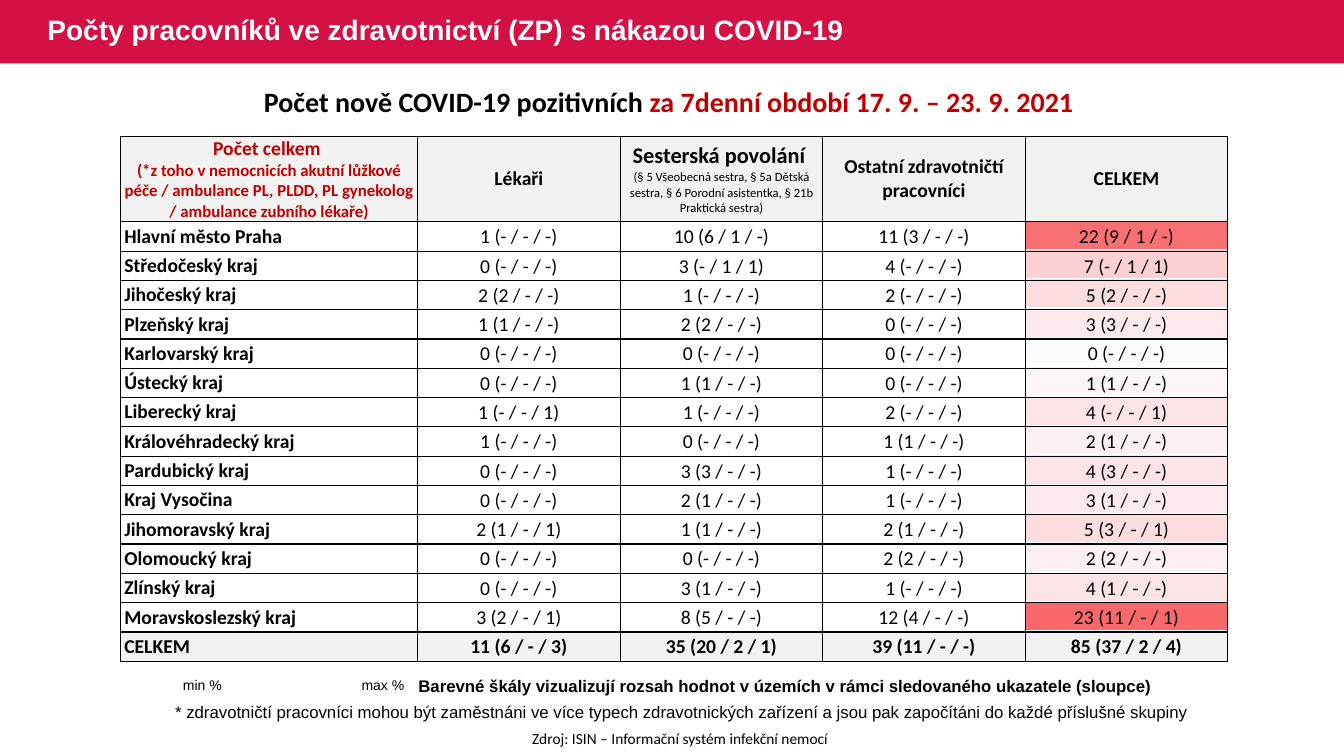
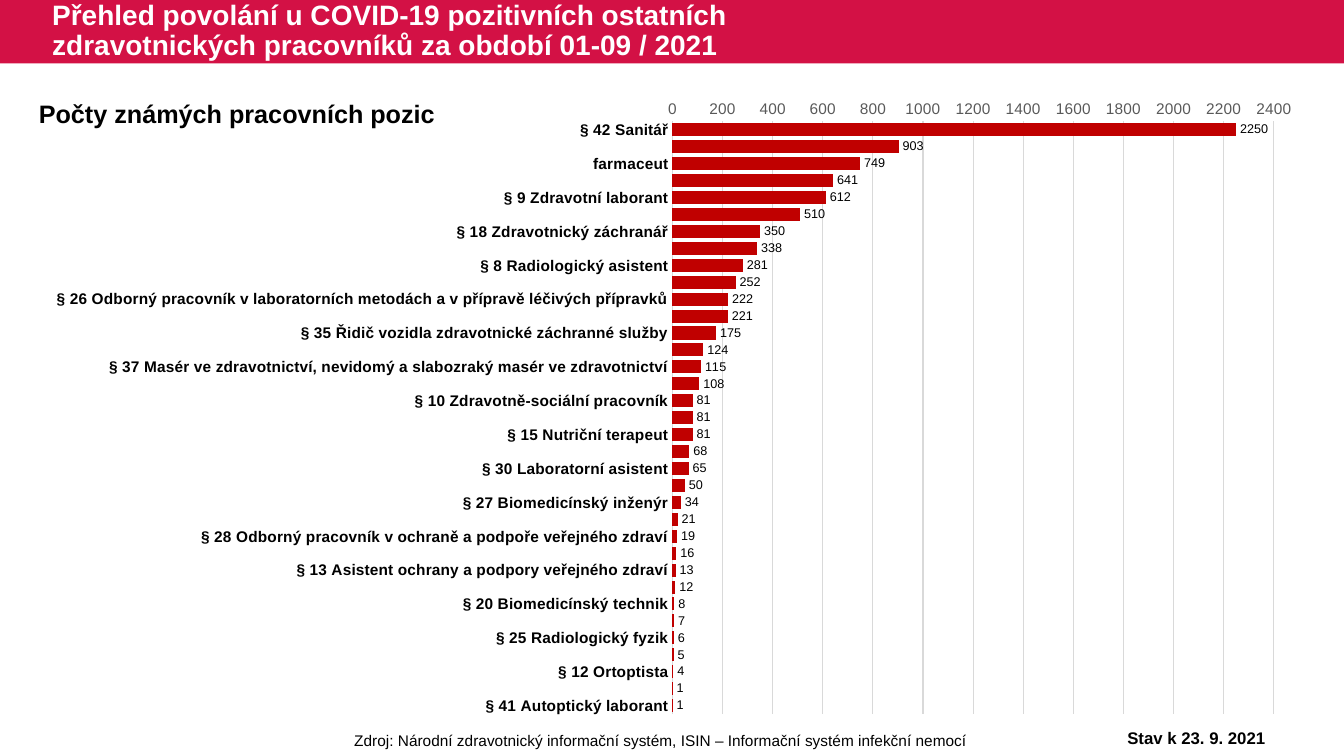
from lxml import etree
from pptx import Presentation
from pptx.chart.data import CategoryChartData
from pptx.dml.color import RGBColor
from pptx.enum.chart import XL_CHART_TYPE, XL_LABEL_POSITION, XL_TICK_MARK
from pptx.enum.shapes import MSO_SHAPE
from pptx.enum.text import MSO_ANCHOR, PP_ALIGN
from pptx.oxml import parse_xml
from pptx.oxml.ns import nsdecls, qn
from pptx.util import Pt

LEFT, CENTER, RIGHT = PP_ALIGN.LEFT, PP_ALIGN.CENTER, PP_ALIGN.RIGHT
TOP, MIDDLE = MSO_ANCHOR.TOP, MSO_ANCHOR.MIDDLE
NO_TICKS = XL_TICK_MARK.NONE

CRIMSON = RGBColor(0xD3, 0x11, 0x45)
RED = RGBColor(0xC0, 0x00, 0x00)
BLACK = RGBColor(0x00, 0x00, 0x00)
WHITE = RGBColor(0xFF, 0xFF, 0xFF)
PALE_GREY = RGBColor(0xF2, 0xF2, 0xF2)
GRID_GREY = RGBColor(0xD9, 0xD9, 0xD9)
AXIS_GREY = RGBColor(0x59, 0x59, 0x59)
SCALE_LOW = RGBColor(0xFC, 0xFC, 0xFF)
SCALE_HIGH = RGBColor(0xF8, 0x69, 0x6B)

SLIDE_W, SLIDE_H = 960, 540
BAND_H = 45.3
NO_INSETS = (0, 0, 0, 0)
BOX_INSETS = (7.2, 3.6, 7.2, 3.6)
LABEL_INSETS = (2.6, 0, 2.6, 0)
VALUE_INSETS = (0.7, 0.7, 0.7, 0)

# Regional table: each header line is (text, size, bold, colour)
HEADERS = [
    [("Počet celkem ", 14, True, RED),
     ("(*z toho v nemocnicích akutní lůžkové péče / ambulance PL, PLDD, "
      "PL gynekolog / ambulance zubního lékaře)", 12, True, RED)],
    [("Lékaři", 14, True, BLACK)],
    [("Sesterská povolání ", 16, True, BLACK),
     ("(§ 5 Všeobecná sestra, § 5a Dětská sestra, § 6 Porodní asistentka, "
      "§ 21b Praktická sestra)", 9, False, BLACK)],
    [("Ostatní zdravotničtí pracovníci", 14, True, BLACK)],
    [("CELKEM", 14, True, BLACK)],
]
REGIONS = [
    ("Hlavní město Praha", "1 (- / - / -)", "10 (6 / 1 / -)", "11 (3 / - / -)", "22 (9 / 1 / -)"),
    ("Středočeský kraj", "0 (- / - / -)", "3 (- / 1 / 1)", "4 (- / - / -)", "7 (- / 1 / 1)"),
    ("Jihočeský kraj", "2 (2 / - / -)", "1 (- / - / -)", "2 (- / - / -)", "5 (2 / - / -)"),
    ("Plzeňský kraj", "1 (1 / - / -)", "2 (2 / - / -)", "0 (- / - / -)", "3 (3 / - / -)"),
    ("Karlovarský kraj", "0 (- / - / -)", "0 (- / - / -)", "0 (- / - / -)", "0 (- / - / -)"),
    ("Ústecký kraj", "0 (- / - / -)", "1 (1 / - / -)", "0 (- / - / -)", "1 (1 / - / -)"),
    ("Liberecký kraj", "1 (- / - / 1)", "1 (- / - / -)", "2 (- / - / -)", "4 (- / - / 1)"),
    ("Královéhradecký kraj", "1 (- / - / -)", "0 (- / - / -)", "1 (1 / - / -)", "2 (1 / - / -)"),
    ("Pardubický kraj", "0 (- / - / -)", "3 (3 / - / -)", "1 (- / - / -)", "4 (3 / - / -)"),
    ("Kraj Vysočina", "0 (- / - / -)", "2 (1 / - / -)", "1 (- / - / -)", "3 (1 / - / -)"),
    ("Jihomoravský kraj", "2 (1 / - / 1)", "1 (1 / - / -)", "2 (1 / - / -)", "5 (3 / - / 1)"),
    ("Olomoucký kraj", "0 (- / - / -)", "0 (- / - / -)", "2 (2 / - / -)", "2 (2 / - / -)"),
    ("Zlínský kraj", "0 (- / - / -)", "3 (1 / - / -)", "1 (- / - / -)", "4 (1 / - / -)"),
    ("Moravskoslezský kraj", "3 (2 / - / 1)", "8 (5 / - / -)", "12 (4 / - / -)", "23 (11 / - / 1)"),
]
TOTALS = ("CELKEM", "11 (6 / - / 3)", "35 (20 / 2 / 1)", "39 (11 / - / -)", "85 (37 / 2 / 4)")

# Known job positions and their counts
POSITIONS = [
    ("§ 42 Sanitář", 2250),
    ("§ 24 Fyzioterapeut", 903),
    ("farmaceut", 749),
    ("§ 19 Farmaceutický asistent", 641),
    ("§ 9 Zdravotní laborant", 612),
    ("§ 36 Ošetřovatel", 510),
    ("§ 18 Zdravotnický záchranář", 350),
    ("§ 39 Zubní instrumentářka", 338),
    ("§ 8 Radiologický asistent", 281),
    ("§ 16 Zubní technik", 252),
    ("§ 26 Odborný pracovník v laboratorních metodách a v přípravě léčivých přípravků", 222),
    ("§ 40 Řidič zdravotnické dopravní služby", 221),
    ("§ 35 Řidič vozidla zdravotnické záchranné služby", 175),
    ("§ 17 Dentální hygienistka", 124),
    ("§ 37 Masér ve zdravotnictví, nevidomý a slabozraký masér ve zdravotnictví", 115),
    ("§ 22 Psycholog ve zdravotnictví", 108),
    ("§ 10 Zdravotně-sociální pracovník", 81),
    ("§ 11 Optometrista", 81),
    ("§ 15 Nutriční terapeut", 81),
    ("§ 7 Ergoterapeut", 68),
    ("§ 30 Laboratorní asistent", 65),
    ("§ 23 Logoped ve zdravotnictví", 50),
    ("§ 27 Biomedicínský inženýr", 34),
    ("§ 33 Asistent zubního technika", 21),
    ("§ 28 Odborný pracovník v ochraně a podpoře veřejného zdraví", 19),
    ("§ 21a Adiktolog", 16),
    ("§ 13 Asistent ochrany a podpory veřejného zdraví", 13),
    ("§ 14 Ortotik-protetik", 12),
    ("§ 20 Biomedicínský technik", 8),
    ("§ 31 Ortoticko-protetický technik", 7),
    ("§ 25 Radiologický fyzik", 6),
    ("§ 32 Nutriční asistent", 5),
    ("§ 12 Ortoptista", 4),
    ("§ 21 Radiologický technik", 1),
    ("§ 41 Autoptický laborant", 1),
]


def set_font(font, size, bold=False, color=BLACK, name="Arial"):
    font.name, font.size, font.bold = name, Pt(size), bold
    font.color.rgb = color


def set_insets(target, insets):
    (target.margin_left, target.margin_top,
     target.margin_right, target.margin_bottom) = map(Pt, insets)


def add_text(page, text, frame, size, bold=False, color=BLACK, name="Arial",
             align=LEFT, anchor=TOP, insets=BOX_INSETS, wrap=True):
    """Add a one-paragraph text box and return its paragraph."""
    box = page.shapes.add_textbox(*map(Pt, frame)).text_frame
    box.word_wrap, box.vertical_anchor = wrap, anchor
    set_insets(box, insets)
    para = box.paragraphs[0]
    para.alignment = align
    para.add_run().text = text
    set_font(para.font, size, bold, color, name)
    return para


def add_page(deck, title, left, width):
    """Add a slide with the crimson band and its title."""
    page = deck.slides.add_slide(deck.slide_layouts[6])
    band = page.shapes.add_shape(MSO_SHAPE.RECTANGLE, 0, 0, Pt(SLIDE_W), Pt(BAND_H))
    band.shadow.inherit = False
    band.fill.solid()
    band.fill.fore_color.rgb = CRIMSON
    band.line.fill.background()
    para = add_text(page, title, (left, 0, width, BAND_H), 20, True, WHITE, anchor=MIDDLE)
    para.line_spacing = 0.9
    return page


def add_plain_table(page, left, top, widths, heights):
    table = page.shapes.add_table(
        len(heights), len(widths), Pt(left), Pt(top),
        Pt(sum(widths)), Pt(sum(heights))).table
    table.first_row = table.horz_banding = False
    for column, width in zip(table.columns, widths):
        column.width = Pt(width)
    for row, height in zip(table.rows, heights):
        row.height = Pt(height)
    return table


def paint_cell(cell, fill):
    if fill is None:
        cell.fill.background()
    else:
        cell.fill.solid()
        cell.fill.fore_color.rgb = fill


def fill_cell(cell, lines, align, insets, fill=None):
    """Write styled lines into a cell with black borders and an optional fill."""
    properties = cell._tc.get_or_add_tcPr()
    for side in ("lnL", "lnR", "lnT", "lnB"):
        properties.append(parse_xml(
            f'<a:{side} {nsdecls("a")} w="12700"><a:solidFill>'
            f'<a:srgbClr val="{BLACK}"/></a:solidFill></a:{side}>'))
    paint_cell(cell, fill)
    cell.vertical_anchor = MIDDLE
    set_insets(cell, insets)
    for index, (text, size, bold, color) in enumerate(lines):
        frame = cell.text_frame
        para = frame.add_paragraph() if index else frame.paragraphs[0]
        para.alignment = align
        para.add_run().text = text
        set_font(para.font, size, bold, color, "Calibri")


def scale_color(value, highest):
    return RGBColor(*(low - (low - high) * value // highest
                      for low, high in zip(SCALE_LOW, SCALE_HIGH)))


def add_color_scale(page):
    """Add the one-column table that shades the totals of the regions."""
    counts = [int(region[-1].split()[0]) for region in REGIONS]
    fills = [scale_color(count, max(counts)) for count in counts] + [None]
    table = add_plain_table(page, 731.7, 157, [145.2], [21] * len(fills))
    for row, fill in enumerate(fills):
        cell = table.cell(row, 0)
        paint_cell(cell, fill)
        set_insets(cell, NO_INSETS)
        para = cell.text_frame.paragraphs[0]
        etree.SubElement(para._p, qn("a:endParaRPr")).set("sz", "1400")


def add_region_table(page):
    table = add_plain_table(page, 86.2, 97.4, [212.1] + [144.7] * 4,
                            [61.1] + [20.93] * (len(REGIONS) + 1))
    for column, lines in enumerate(HEADERS):
        fill_cell(table.cell(0, column), lines, CENTER, LABEL_INSETS, PALE_GREY)
    for row, texts in enumerate(REGIONS + [TOTALS], start=1):
        is_total = texts is TOTALS
        for column, text in enumerate(texts):
            is_label = column == 0
            fill_cell(table.cell(row, column),
                      [(text, 14, is_label or is_total, BLACK)],
                      LEFT if is_label else CENTER,
                      LABEL_INSETS if is_label else VALUE_INSETS,
                      PALE_GREY if is_total else None)


def set_plot_layout(chart, x, y, w, h):
    """Fix the inner plot area as fractions of the chart."""
    plot_area = chart._chartSpace.chart.plotArea
    for old in plot_area.findall(qn("c:layout")):
        plot_area.remove(old)
    layout = etree.Element(qn("c:layout"))
    manual = etree.SubElement(layout, qn("c:manualLayout"))
    for tag, value in (("layoutTarget", "inner"), ("xMode", "edge"), ("yMode", "edge"),
                       ("x", x), ("y", y), ("w", w), ("h", h)):
        etree.SubElement(manual, qn(f"c:{tag}")).set("val", str(value))
    plot_area.insert(0, layout)


def add_position_chart(page):
    data = CategoryChartData()
    data.categories = [name for name, count in POSITIONS]
    data.add_series("Series 1", [count for name, count in POSITIONS])
    chart = page.shapes.add_chart(
        XL_CHART_TYPE.BAR_CLUSTERED, Pt(3.2), Pt(57.6), Pt(933.8), Pt(461.8), data).chart
    chart.has_title = chart.has_legend = False
    set_font(chart.font, 10)
    set_plot_layout(chart, 0.511, 0.063, 0.46, 0.917)

    # Bars and value labels
    plot = chart.plots[0]
    plot.gap_width, plot.overlap, plot.vary_by_categories = 30, 100, False
    bars = plot.series[0].format.fill
    bars.solid()
    bars.fore_color.rgb = RED
    plot.has_data_labels = True
    labels = plot.data_labels
    labels.show_value, labels.position = True, XL_LABEL_POSITION.OUTSIDE_END
    set_font(labels.font, 9)

    # Axes
    names, values = chart.category_axis, chart.value_axis
    for axis in (names, values):
        axis.major_tick_mark = axis.minor_tick_mark = NO_TICKS
    names.reverse_order = True
    set_font(names.tick_labels.font, 11, True)
    set_font(values.tick_labels.font, 11, color=AXIS_GREY)
    values.minimum_scale, values.maximum_scale, values.major_unit = 0, 2400, 200
    values.format.line.fill.background()
    values.has_major_gridlines = True
    for line in (names.format.line, values.major_gridlines.format.line):
        line.color.rgb, line.width = GRID_GREY, Pt(0.75)


def build_regions(deck):
    page = add_page(deck, "Počty pracovníků ve zdravotnictví (ZP) s nákazou COVID-19", 26.8, 619)
    add_color_scale(page)
    add_region_table(page)
    heading = add_text(page, "Počet nově COVID-19 pozitivních ", (48, 56.9, 864, 31.5),
                       20, True, name="Calibri", align=CENTER)
    period = heading.add_run()
    period.text = "za 7denní období 17. 9. – 23. 9. 2021 "
    period.font.color.rgb = RED

    # Colour scale legend and notes
    for text, align in (("min %", LEFT), ("max %", RIGHT)):
        add_text(page, text, (130.7, 483.3, 158, 12.2), 10, align=align, insets=NO_INSETS)
    add_text(page, "Barevné škály vizualizují rozsah hodnot v územích v rámci "
             "sledovaného ukazatele (sloupce)", (291.8, 478.8, 556, 21.8), 12, True)
    add_text(page, "* zdravotničtí pracovníci mohou být zaměstnáni ve více typech "
             "zdravotnických zařízení a jsou pak započítáni do každé příslušné skupiny",
             (118, 497.5, 739, 21.8), 12)
    add_text(page, "Zdroj: ISIN – Informační systém infekční nemocí",
             (235.4, 517, 501, 20.6), 11, name="Calibri", align=CENTER)


def build_positions(deck):
    page = add_page(deck, "Přehled povolání u COVID-19 pozitivních ostatních "
                    "zdravotnických pracovníků za období 01-09 / 2021", 30.2, 595)
    add_position_chart(page)
    add_text(page, "Počty známých pracovních pozic", (20.6, 67, 300, 29), 18, True, wrap=False)
    add_text(page, "Zdroj: Národní zdravotnický informační systém, ISIN – Informační "
             "systém infekční nemocí", (170.3, 518.4, 603.4, 20.6), 11, align=CENTER)
    add_text(page, "Stav k 23. 9. 2021", (775.4, 516.2, 158.4, 21.8), 12, True, align=CENTER)


def main():
    deck = Presentation()
    deck.slide_width, deck.slide_height = Pt(SLIDE_W), Pt(SLIDE_H)
    build_regions(deck)
    build_positions(deck)
    deck.save("out.pptx")


if __name__ == "__main__":
    main()
